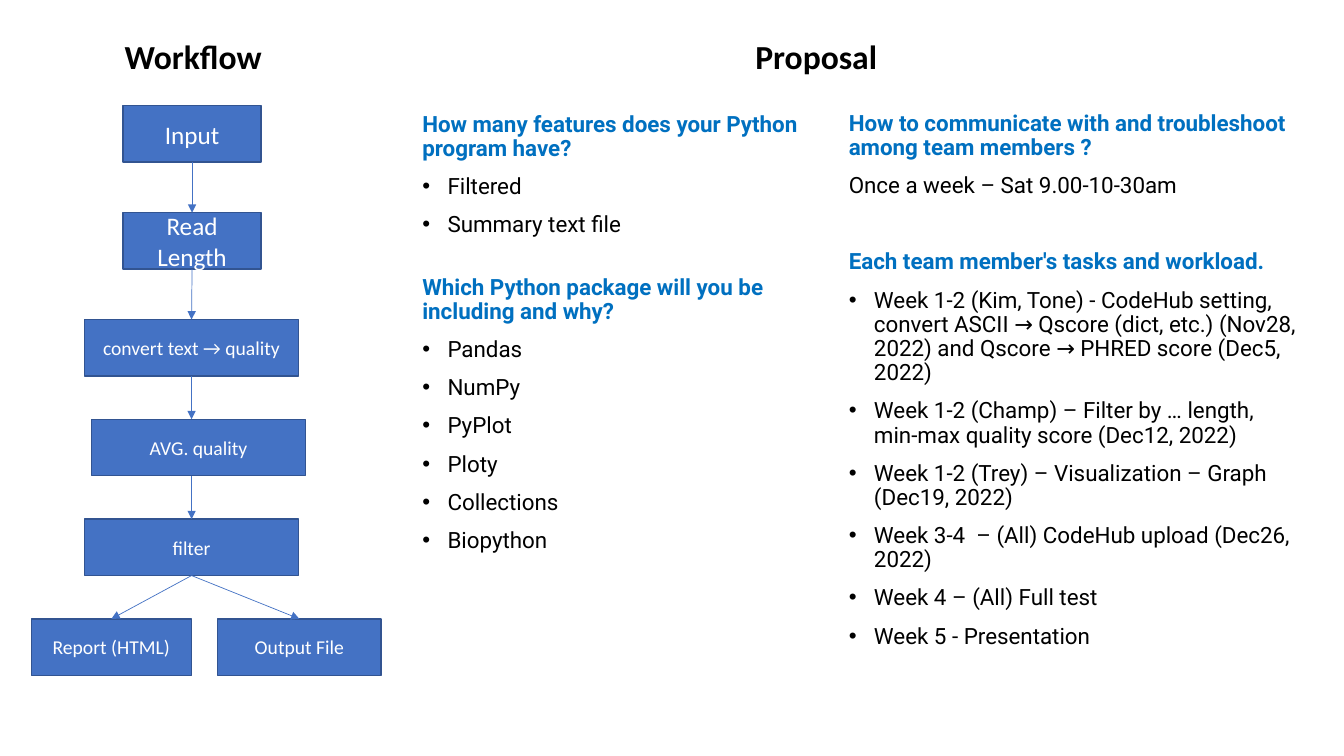
import pptx
import pptx.util
import pptx.dml.color
import pptx.enum.shapes
import pptx.enum.text
import pptx.oxml.ns
import lxml.etree

Inches = pptx.util.Inches
Pt = pptx.util.Pt
qn = pptx.oxml.ns.qn

TITLES = [("Workflow", 0.37), ("Proposal", 6.55)]

STEPS = [
    ("Input", 1.22, 1.05, 1.37, 18),
    ("Read Length", 1.22, 2.11, 1.37, 18),
    ("convert text → quality", 0.84, 3.17, 2.12, 14),
    ("AVG. quality", 0.91, 4.16, 2.12, 14),
    ("filter", 0.84, 5.15, 2.12, 14),
    ("Report (HTML)", 0.31, 6.14, 1.59, 14),
    ("Output File", 2.16, 6.14, 1.62, 14),
]
STEP_HEIGHT = 0.56
SPINE = 1.9
JOIN_TOLERANCE = 0.03

ARROWS = [
    ("Input", "Read Length"),
    ("Read Length", "convert text → quality"),
    ("convert text → quality", "AVG. quality"),
    ("AVG. quality", "filter"),
    ("filter", "Report (HTML)"),
    ("filter", "Output File"),
]

COLUMNS = [
    ((4.09, 1.07, 4.15, 5.38), [
        ("heading", "How many features does your Python program have?", 0),
        ("bullet", "Filtered", 10),
        ("bullet", "Summary text file", 10),
        ("heading", "Which Python package will you be including and why?", 27.4),
        ("bullet", "Pandas", 10),
        ("bullet", "NumPy", 10),
        ("bullet", "PyPlot", 10),
        ("bullet", "Ploty", 10),
        ("bullet", "Collections", 10),
        ("bullet", "Biopython", 10),
    ]),
    ((8.32, 1.06, 4.7, 5.38), [
        ("heading", "How to communicate with and troubleshoot among team members ?", 0),
        ("plain", "Once a week – Sat 9.00-10-30am", 10),
        ("heading", "Each team member's tasks and workload.", 37.4),
        ("bullet", "Week 1-2 (Kim, Tone) - CodeHub setting, convert ASCII → Qscore (dict, etc.) "
                   "(Nov28, 2022) and Qscore → PHRED score (Dec5, 2022)", 10),
        ("bullet", "Week 1-2 (Champ) – Filter by … length, min-max quality score (Dec12, 2022)", 10),
        ("bullet", "Week 1-2 (Trey) – Visualization – Graph (Dec19, 2022)", 10),
        ("bullet", "Week 3-4  – (All) CodeHub upload (Dec26, 2022)", 10),
        ("bullet", "Week 4 – (All) Full test", 10),
        ("bullet", "Week 5 - Presentation", 10),
    ]),
]


def color(value):
    return pptx.dml.color.RGBColor.from_string(value)


def add_run(paragraph, text, font_name, size, fill, bold=False):
    run = paragraph.add_run()
    run.text = text
    run.font.name = font_name
    run.font.size = Pt(size)
    run.font.bold = bold
    run.font.color.rgb = color(fill)


def add_text_box(slide, left, top, width, height):
    box = slide.shapes.add_textbox(Inches(left), Inches(top), Inches(width), Inches(height))
    box.text_frame.word_wrap = True
    return box.text_frame


def add_title(slide, text, left):
    paragraph = add_text_box(slide, left, 0.31, 3.09, 0.5).paragraphs[0]
    paragraph.alignment = pptx.enum.text.PP_ALIGN.CENTER
    add_run(paragraph, text, "Calibri", 24, "000000", True)


def add_step(slide, text, left, top, width, size):
    shape = slide.shapes.add_shape(
        pptx.enum.shapes.MSO_SHAPE.RECTANGLE,
        Inches(left), Inches(top), Inches(width), Inches(STEP_HEIGHT))
    shape.shadow.inherit = False
    shape.fill.solid()
    shape.fill.fore_color.rgb = color("4472C4")
    shape.line.color.rgb = color("325491")
    shape.line.width = Pt(1)
    shape.text_frame.vertical_anchor = pptx.enum.text.MSO_ANCHOR.MIDDLE
    paragraph = shape.text_frame.paragraphs[0]
    paragraph.alignment = pptx.enum.text.PP_ALIGN.CENTER
    add_run(paragraph, text, "Calibri", size, "FFFFFF")
    return shape


def add_arrow(slide, source, target):
    spine = Inches(SPINE)
    source_middle = source.left + source.width // 2
    target_middle = target.left + target.width // 2
    branches = abs(target_middle - spine) > Inches(0.5)
    end_x = target_middle if branches else spine
    arrow = slide.shapes.add_connector(
        pptx.enum.shapes.MSO_CONNECTOR.STRAIGHT,
        spine, source.top + source.height, end_x, target.top)
    if abs(source_middle - spine) < Inches(JOIN_TOLERANCE):
        arrow.begin_connect(source, 2)
    if abs(target_middle - end_x) < Inches(JOIN_TOLERANCE):
        arrow.end_connect(target, 0)
    arrow.line.color.rgb = color("4472C4")
    arrow.line.width = Pt(0.5)
    lxml.etree.SubElement(arrow.line._get_or_add_ln(), qn("a:tailEnd"), type="triangle")
    lxml.etree.SubElement(arrow._element.spPr, qn("a:effectLst"))


def add_bullet(paragraph):
    properties = paragraph._p.get_or_add_pPr()
    properties.set("marL", str(Inches(0.25)))
    properties.set("indent", str(-Inches(0.25)))
    lxml.etree.SubElement(properties, qn("a:buFont"), typeface="Arial")
    lxml.etree.SubElement(properties, qn("a:buChar"), char="•")


def add_column(slide, bounds, lines):
    frame = add_text_box(slide, *bounds)
    for index, (kind, text, space_before) in enumerate(lines):
        paragraph = frame.add_paragraph() if index else frame.paragraphs[0]
        if kind == "bullet":
            add_bullet(paragraph)
        paragraph.line_spacing = 0.9
        paragraph.space_before = Pt(space_before)
        heading = kind == "heading"
        add_run(paragraph, text, "Roboto", 16, "0070C0" if heading else "000000", heading)


def main():
    presentation = pptx.Presentation()
    presentation.slide_width = Inches(13.33)
    presentation.slide_height = Inches(7.5)
    slide = presentation.slides.add_slide(presentation.slide_layouts[6])
    for text, left in TITLES:
        add_title(slide, text, left)
    steps = {step[0]: add_step(slide, *step) for step in STEPS}
    for source, target in ARROWS:
        add_arrow(slide, steps[source], steps[target])
    for bounds, lines in COLUMNS:
        add_column(slide, bounds, lines)
    presentation.save("out.pptx")


if __name__ == "__main__":
    main()
